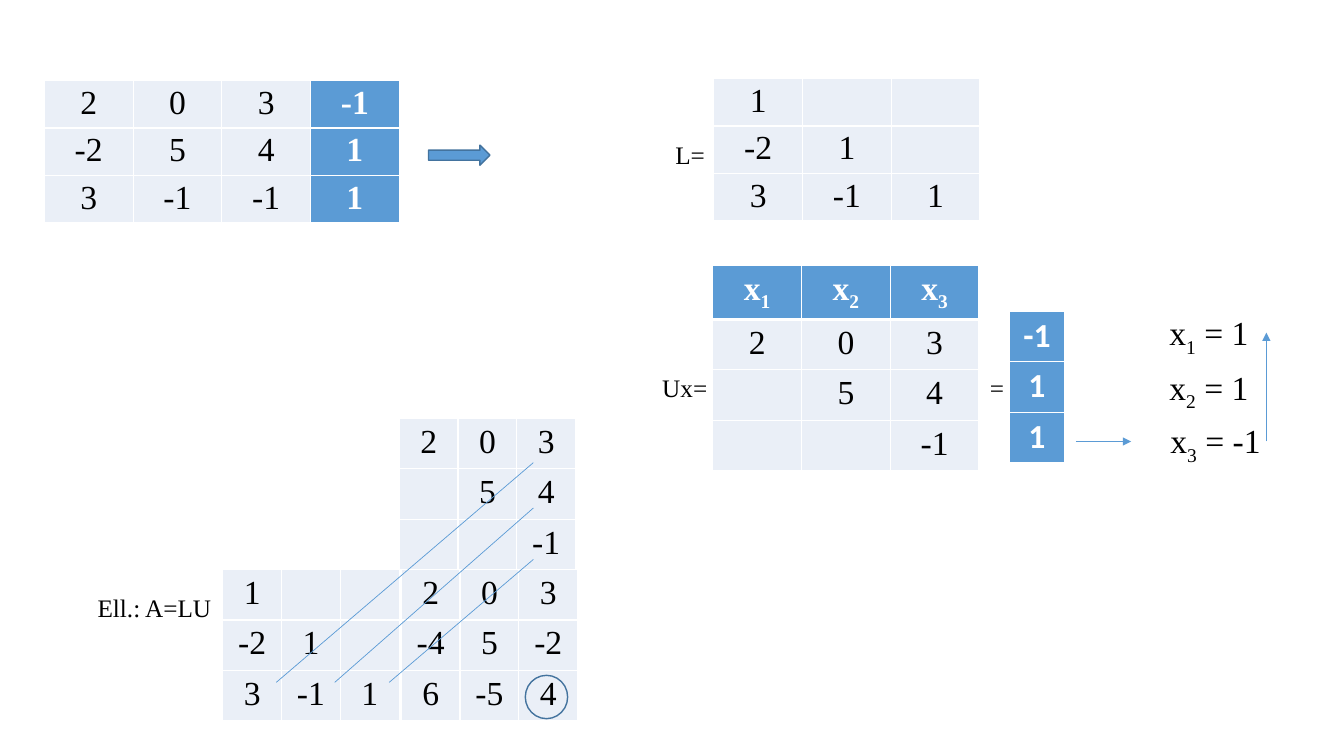
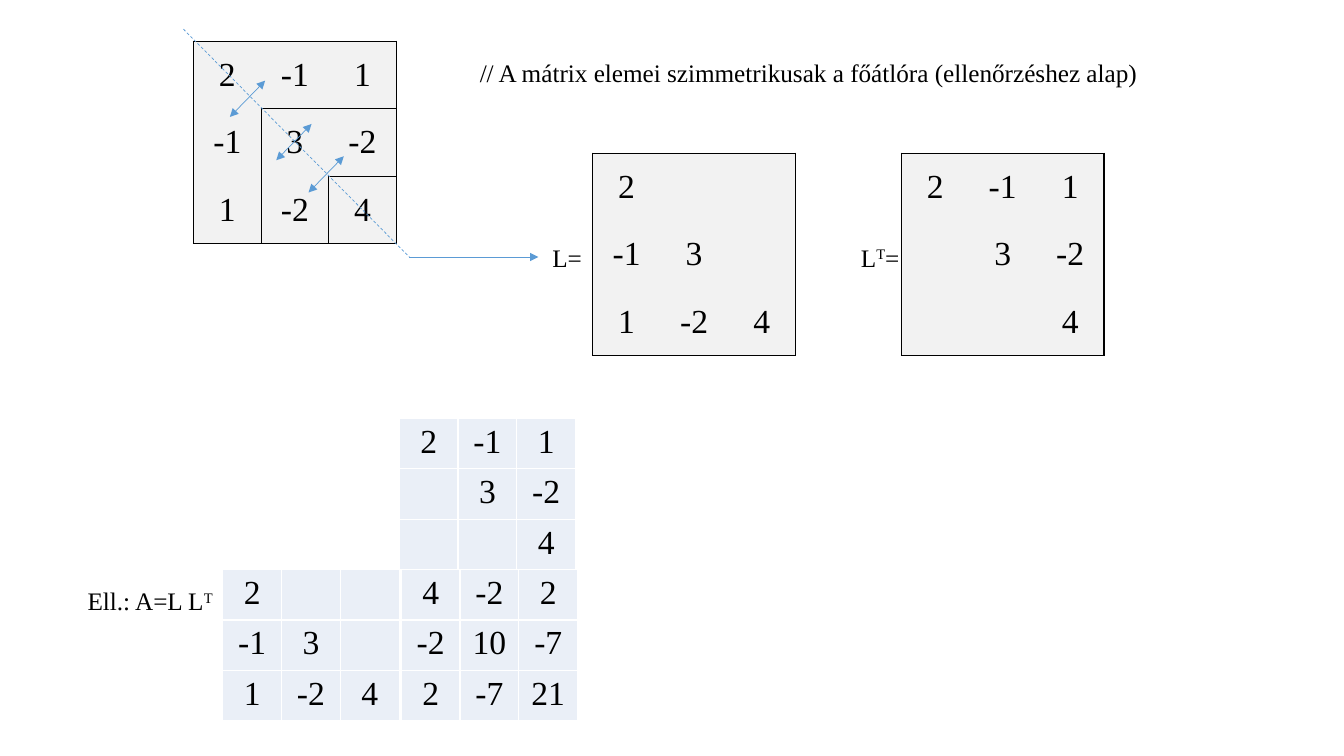
"""Build two slides that check an LU and a symmetric matrix factorisation."""
from collections.abc import Callable
from dataclasses import dataclass

from lxml import etree
from pptx import Presentation
from pptx.dml.color import RGBColor
from pptx.enum.dml import MSO_LINE
from pptx.enum.shapes import MSO_CONNECTOR, MSO_SHAPE
from pptx.enum.text import MSO_ANCHOR, MSO_AUTO_SIZE, PP_ALIGN
from pptx.oxml.ns import qn
from pptx.slide import Slide
from pptx.table import _Cell
from pptx.text.text import _Paragraph
from pptx.util import Inches, Pt

STRAIGHT = MSO_CONNECTOR.STRAIGHT
RIGHT_ARROW = MSO_SHAPE.RIGHT_ARROW
OVAL = MSO_SHAPE.OVAL
CENTER = PP_ALIGN.CENTER
TOP = MSO_ANCHOR.TOP
MIDDLE = MSO_ANCHOR.MIDDLE
GROW = MSO_AUTO_SIZE.SHAPE_TO_FIT_TEXT
DASH = MSO_LINE.DASH

BLACK = RGBColor(0x00, 0x00, 0x00)
WHITE = RGBColor(0xFF, 0xFF, 0xFF)
BLUE = RGBColor(0x5B, 0x9B, 0xD5)
DARK_BLUE = RGBColor(0x43, 0x73, 0x9E)
PALE_BLUE = RGBColor(0xEA, 0xEF, 0xF7)
PALE_GRAY = RGBColor(0xF2, 0xF2, 0xF2)

SERIF = "Times New Roman"
SANS = "Calibri"
BASELINES = {"_": "-25000", "^": "30000"}
SIDES = "LRTB"
LAST = 2

Rows = tuple[str, ...]


def all_sides(row: int, column: int) -> str:
    """Return every side of a cell."""
    return SIDES


def outer_sides(row: int, column: int) -> str:
    """Return the sides of a cell that lie on the edge of the matrix."""
    edges = {"L": column == 0, "R": column == LAST, "T": row == 0, "B": row == LAST}
    return "".join(side for side, drawn in edges.items() if drawn)


def nested_sides(row: int, column: int) -> str:
    """Return the sides of a cell that bound the nested trailing submatrices."""
    edges = {
        "L": column <= row,
        "R": column == LAST or column < row,
        "T": row <= column,
        "B": row == LAST or row < column,
    }
    return "".join(side for side, drawn in edges.items() if drawn)


@dataclass(frozen=True)
class Matrix:
    """A table of numbers with its place and look."""

    left: float
    top: float
    width: float
    rows: Rows
    row_height: float = 0.5
    margin: float = 0.05
    header: bool = False
    accent_column: int = -1
    font: str = SERIF
    fill: RGBColor = PALE_BLUE
    border: RGBColor = WHITE
    sides: Callable[[int, int], str] = all_sides
    anchor: MSO_ANCHOR = TOP


@dataclass(frozen=True)
class Label:
    """A line of text; _ lowers and ^ raises the character that follows."""

    left: float
    top: float
    width: float
    text: str
    size: int = 18
    wrap: bool = False
    tab: float = 0


@dataclass(frozen=True)
class Line:
    """A straight line with optional arrowheads."""

    start: tuple[float, float]
    end: tuple[float, float]
    heads: tuple[str, ...] = ()
    dashed: bool = False


def write(paragraph: _Paragraph, markup: str, size: int, color: RGBColor,
          bold: bool = False, font: str = SERIF) -> None:
    """Write marked-up text into a paragraph as formatted runs."""
    pieces: list[tuple[str, str]] = []
    mark = ""
    for character in markup:
        if character in BASELINES:
            mark = character
        elif pieces and not mark and not pieces[-1][0]:
            pieces[-1] = ("", pieces[-1][1] + character)
        else:
            pieces.append((mark, character))
            mark = ""
    for mark, text in pieces:
        run = paragraph.add_run()
        run.text = text
        run.font.name = font
        run.font.size = Pt(size)
        run.font.bold = bold
        run.font.color.rgb = color
        if mark:
            run._r.get_or_add_rPr().set("baseline", BASELINES[mark])


def draw_border(cell: _Cell, side: str, color: RGBColor | None, width: float) -> None:
    """Give one side of a cell a line, or none."""
    properties = cell._tc.get_or_add_tcPr()
    line = etree.SubElement(properties, qn(f"a:ln{side}"), w=str(Pt(width)))
    if color is None:
        etree.SubElement(line, qn("a:noFill"))
    else:
        fill = etree.SubElement(line, qn("a:solidFill"))
        etree.SubElement(fill, qn("a:srgbClr"), val=str(color))


def draw_matrix(slide: Slide, matrix: Matrix) -> None:
    """Draw a matrix as a table."""
    values = [row.split("|") for row in matrix.rows]
    row_count, column_count = len(values), len(values[0])
    table = slide.shapes.add_table(
        row_count, column_count, Inches(matrix.left), Inches(matrix.top),
        Inches(matrix.width), Inches(matrix.row_height * row_count),
    ).table
    table.first_row = table.horz_banding = False
    for row, texts in enumerate(values):
        for column, text in enumerate(texts):
            cell = table.cell(row, column)
            accent = column == matrix.accent_column or (matrix.header and row == 0)
            drawn = matrix.sides(row, column)
            for side in SIDES:
                thick = matrix.header and (side, row) in (("B", 0), ("T", 1))
                color = matrix.border if side in drawn else None
                draw_border(cell, side, color, 3 if thick else 1)
            cell.fill.solid()
            cell.fill.fore_color.rgb = BLUE if accent else matrix.fill
            cell.margin_top = cell.margin_bottom = Inches(matrix.margin)
            cell.vertical_anchor = matrix.anchor
            paragraph = cell.text_frame.paragraphs[0]
            paragraph.alignment = CENTER
            write(paragraph, text, 24, WHITE if accent else BLACK, accent, matrix.font)
    if matrix.header:
        table.rows[0].height = Inches(0.54)


def draw_label(slide: Slide, label: Label) -> None:
    """Draw a label as a text box."""
    height = 0.4 if label.size == 18 else 0.5
    box = slide.shapes.add_textbox(
        Inches(label.left), Inches(label.top), Inches(label.width), Inches(height))
    frame = box.text_frame
    frame.word_wrap = label.wrap
    frame.auto_size = GROW
    paragraph = frame.paragraphs[0]
    write(paragraph, label.text, label.size, BLACK)
    if label.tab:
        stops = etree.SubElement(paragraph._p.get_or_add_pPr(), qn("a:tabLst"))
        etree.SubElement(stops, qn("a:tab"), pos=str(Inches(label.tab)), algn="l")


def draw_line(slide: Slide, line: Line) -> None:
    """Draw a thin blue line."""
    connector = slide.shapes.add_connector(
        STRAIGHT, *(Inches(value) for value in line.start + line.end))
    connector.line.color.rgb = BLUE
    connector.line.width = Pt(0.5)
    if line.dashed:
        connector.line.dash_style = DASH
    outline = connector.line._get_or_add_ln()
    for head in line.heads:
        etree.SubElement(outline, qn(f"a:{head}"), type="triangle")
    etree.SubElement(connector._element.spPr, qn("a:effectLst"))


def draw_shape(slide: Slide, kind: MSO_SHAPE, left: float, top: float,
               width: float, height: float, fill: RGBColor | None = None) -> None:
    """Draw an outlined preset shape."""
    shape = slide.shapes.add_shape(
        kind, Inches(left), Inches(top), Inches(width), Inches(height))
    shape.shadow.inherit = False
    shape.line.color.rgb = DARK_BLUE
    shape.line.width = Pt(1)
    if fill is None:
        shape.fill.background()
    else:
        shape.fill.solid()
        shape.fill.fore_color.rgb = fill


def product_check(lower: Rows, upper: Rows, product: Rows) -> list[Matrix]:
    """Arrange two factors and their product in a multiplication scheme."""
    places = ((2.21, 5.65, lower), (3.96, 4.15, upper), (3.98, 5.65, product))
    return [Matrix(left, top, 1.75, rows) for left, top, rows in places]


def framed(left: float, top: float, rows: Rows,
           sides: Callable[[int, int], str] = outer_sides) -> Matrix:
    """Describe a gray square matrix with black lines."""
    return Matrix(left, top, 2.01, rows, 0.67, fill=PALE_GRAY, border=BLACK,
                  sides=sides, anchor=MIDDLE)


def draw_slide(presentation: Presentation, matrices: list[Matrix],
               labels: list[Label], lines: list[Line]) -> Slide:
    """Add a blank slide holding matrices, labels and lines."""
    slide = presentation.slides.add_slide(presentation.slide_layouts[6])
    for matrix in matrices:
        draw_matrix(slide, matrix)
    for label in labels:
        draw_label(slide, label)
    for line in lines:
        draw_line(slide, line)
    return slide


def build_lu(presentation: Presentation) -> None:
    """Build the slide with the LU factorisation."""
    lower = ("1||", "-2|1|", "3|-1|1")
    upper = ("2|0|3", "|5|4", "||-1")
    matrices = [
        Matrix(0.44, 0.8, 3.52, ("2|0|3|-1", "-2|5|4|1", "3|-1|-1|1"), 0.47, 0.04,
               accent_column=3),
        Matrix(7.08, 0.78, 2.64, lower, 0.47, 0.04),
        Matrix(7.07, 2.63, 2.64, ("x_1|x_2|x_3",) + upper, header=True),
        Matrix(10.01, 3.09, 0.55, ("-1", "1", "1"), margin=0.04, accent_column=0,
               font=SANS),
    ] + product_check(lower, upper, ("2|0|3", "-4|5|-2", "6|-5|4"))
    labels = [
        Label(6.6, 1.33, 0.5, "L="),
        Label(6.47, 3.64, 4.57, "Ux=\t=", wrap=True, tab=3.25),
        Label(11.5, 3.05, 1.01, "x_1 = 1", 24),
        Label(11.5, 3.59, 1.01, "x_2 = 1", 24),
        Label(11.51, 4.12, 1.12, "x_3 = -1", 24),
        Label(0.87, 5.83, 1.34, "Ell.: A=LU"),
    ]
    diagonals = ((4.59, 2.74), (5.04, 3.32), (5.55, 3.86))
    lines = [Line((5.29, top), (left, 6.77)) for top, left in diagonals] + [
        Line((10.67, 4.38), (11.22, 4.38), ("tailEnd",)),
        Line((12.56, 4.38), (12.56, 3.3), ("tailEnd",)),
    ]
    slide = draw_slide(presentation, matrices, labels, lines)
    draw_shape(slide, RIGHT_ARROW, 4.25, 1.44, 0.61, 0.2, BLUE)
    draw_shape(slide, OVAL, 5.21, 6.7, 0.42, 0.43)


def build_symmetric(presentation: Presentation) -> None:
    """Build the slide with the symmetric factorisation."""
    lower = ("2||", "-1|3|", "1|-2|4")
    upper = ("2|-1|1", "|3|-2", "||4")
    matrices = [
        framed(1.92, 0.41, ("2|-1|1", "-1|3|-2", "1|-2|4"), nested_sides),
        framed(5.88, 1.52, lower),
        framed(8.94, 1.52, upper),
    ] + product_check(lower, upper, ("4|-2|2", "-2|10|-7", "2|-7|21"))
    labels = [
        Label(4.66, 0.52, 6.79,
              "// A mátrix elemei szimmetrikusak a főátlóra (ellenőrzéshez alap)"),
        Label(5.38, 2.35, 0.5, "L="),
        Label(8.44, 2.35, 0.58, "L^T=", wrap=True),
        Label(0.77, 5.76, 1.45, "Ell.: A=L L^T"),
    ]
    mirrors = ((2.63, 0.8), (3.09, 1.23), (3.41, 1.55))
    lines = [Line((1.82, 0.29), (4.06, 2.55), dashed=True)] + [
        Line((left, top), (left - 0.35, top + 0.36), ("headEnd", "tailEnd"))
        for left, top in mirrors
    ] + [Line((4.06, 2.55), (5.34, 2.55), ("tailEnd",))]
    draw_slide(presentation, matrices, labels, lines)


def main() -> None:
    """Build and save the presentation."""
    presentation = Presentation()
    presentation.slide_width = Inches(13.33)
    presentation.slide_height = Inches(7.5)
    build_lu(presentation)
    build_symmetric(presentation)
    presentation.save("out.pptx")


main()
